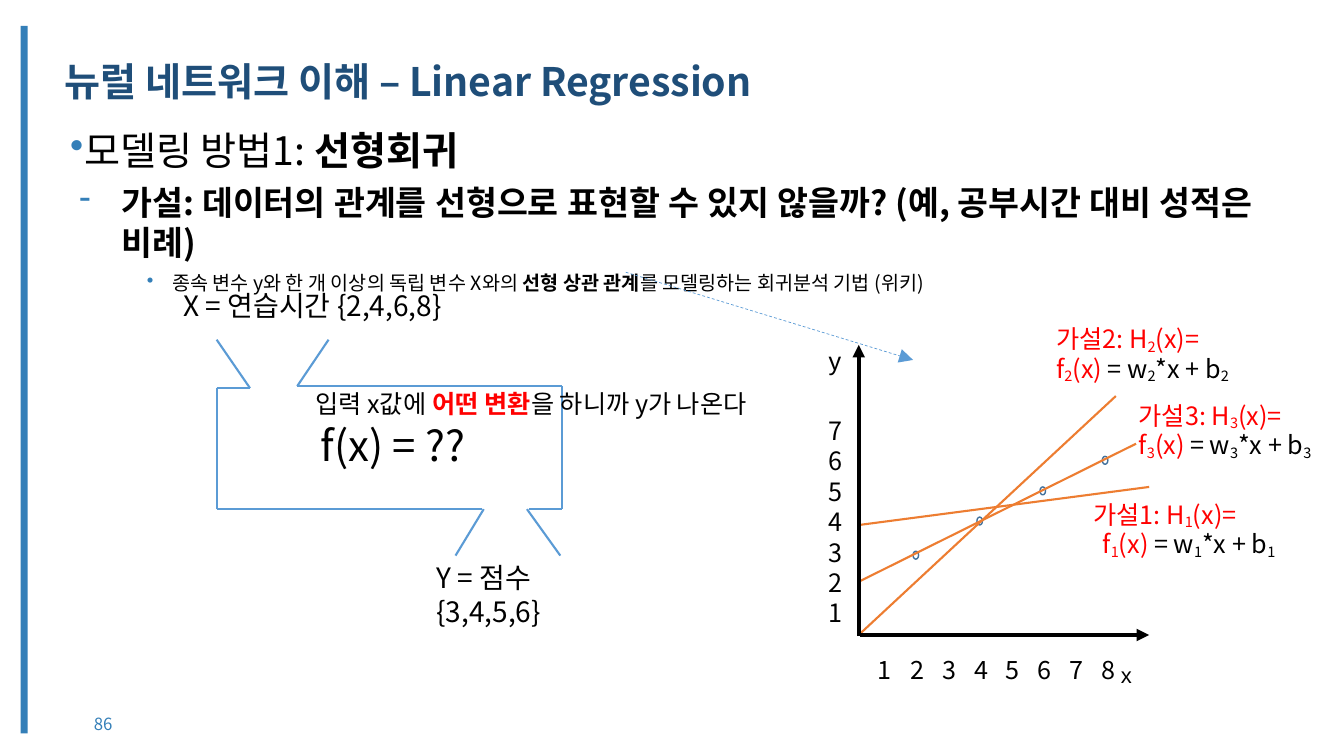
from dataclasses import dataclass
from typing import Optional

import pptx
import pptx.dml.color
import pptx.enum.dml
import pptx.enum.shapes
import pptx.enum.text
import pptx.oxml.ns
import pptx.util
from lxml import etree
from pptx.util import Cm, Pt

RGBColor = pptx.dml.color.RGBColor
BLACK = RGBColor(0x00, 0x00, 0x00)
RED = RGBColor(0xFF, 0x00, 0x00)
NAVY = RGBColor(0x1F, 0x4E, 0x79)
ACCENT = RGBColor(0x34, 0x7F, 0xB8)
SKY = RGBColor(0x5B, 0x9B, 0xD5)
MARKER = RGBColor(0x41, 0x71, 0x9C)
ORANGE = RGBColor(0xED, 0x7D, 0x31)
NOTO, ROBOTO, ARIAL = "Noto Sans CJK KR", "Roboto", "Arial"


@dataclass
class Segment:
    x1: float
    y1: float
    x2: float
    y2: float


@dataclass
class Hypothesis:
    number: int
    left: float
    top: float
    second_indent: float
    line: Segment


FUNNEL = [
    Segment(7.49, 9.73, 14.17, 9.73), Segment(5.46, 12.83, 12.14, 12.83),
    Segment(7.49, 9.73, 8.28, 8.56), Segment(6.3, 9.78, 5.46, 8.56),
    Segment(14.12, 14, 13.28, 12.83), Segment(11.48, 14, 12.19, 12.83),
    Segment(14.17, 12.83, 14.17, 9.73), Segment(5.46, 12.83, 5.46, 9.78),
    Segment(5.46, 9.78, 6.3, 9.78), Segment(13.34, 12.83, 14.17, 12.83),
]
HYPOTHESES = [
    Hypothesis(2, 26.62, 8.18, 0, Segment(21.64, 16, 28.12, 9.98)),
    Hypothesis(3, 28.7, 10.1, 0, Segment(21.64, 14.66, 28.63, 11.18)),
    Hypothesis(1, 27.56, 12.6, 0.23, Segment(21.64, 13.23, 28.96, 12.27)),
]
AXES = [Segment(21.64, 16.03, 21.64, 8.69), Segment(21.67, 16, 28.96, 16)]
DATA_POINTS = [(23.08, 13.99), (24.69, 13.13), (26.28, 12.37), (27.85, 11.6)]
CLAIM = [
    ("가설", ROBOTO), (": ", NOTO),
    ("데이터의 관계를 선형으로 표현할 수 있지 않을까", ROBOTO), ("? (", NOTO),
    ("예", ROBOTO), (", ", NOTO), ("공부시간 대비 성적은 비례", ROBOTO), (")", NOTO),
]


def add_element(parent, tag: str, **attributes: str):
    element = etree.SubElement(parent, pptx.oxml.ns.qn(tag))
    for name, value in attributes.items():
        element.set(name, value)
    return element


def write(para, text: str, *, size: float, font: str = NOTO, bold: bool = False,
          color: RGBColor = BLACK, base: int = 0) -> None:
    """Append a span; base is the baseline shift in percent."""
    span = para.add_run()
    span.text = text
    span.font.size = Pt(size)
    span.font.name = font
    span.font.bold = bold
    span.font.color.rgb = color
    properties = span._r.get_or_add_rPr()
    add_element(properties, "a:ea", typeface=font)
    if base:
        properties.set("baseline", str(base * 1000))


def indent(para, left: float, first: float = 0) -> None:
    properties = para._p.get_or_add_pPr()
    properties.set("marL", str(Cm(left)))
    properties.set("indent", str(Cm(first)))


def add_bullet(para, mark: str) -> None:
    properties = para._p.get_or_add_pPr()
    color = add_element(properties, "a:buClr")
    add_element(color, "a:srgbClr", val=str(ACCENT))
    add_element(properties, "a:buChar", char=mark)
    add_tabs(para, [1.3])


def add_tabs(para, stops: list[float]) -> None:
    tabs = add_element(para._p.get_or_add_pPr(), "a:tabLst")
    for stop in stops:
        add_element(tabs, "a:tab", pos=str(Cm(stop)), algn="l")


def set_margins(frame, side: float, end: float) -> None:
    frame.margin_left = frame.margin_right = Cm(side)
    frame.margin_top = frame.margin_bottom = Cm(end)


def add_box(slide, left: float, top: float, width: float, height: float,
            side: float = 0, end: float = 0.03):
    frame = slide.shapes.add_textbox(Cm(left), Cm(top), Cm(width), Cm(height)).text_frame
    frame.word_wrap = True
    set_margins(frame, side, end)
    return frame


def draw_line(slide, segment: Segment, color: RGBColor, width: float = 1.5,
              arrow: Optional[str] = None, dashed: bool = False) -> None:
    """Draw a segment; arrow is the size of the head at its end."""
    line = slide.shapes.add_connector(
        pptx.enum.shapes.MSO_CONNECTOR.STRAIGHT,
        Cm(segment.x1), Cm(segment.y1), Cm(segment.x2), Cm(segment.y2))
    line.line.color.rgb = color
    line.line.width = Pt(width)
    if dashed:
        line.line.dash_style = pptx.enum.dml.MSO_LINE.DASH
    if arrow:
        add_element(line.line._get_or_add_ln(), "a:tailEnd", type="triangle", w=arrow, len=arrow)
    add_element(line._element.spPr, "a:effectLst")


def draw_frame(slide) -> None:
    bar = slide.shapes.add_shape(pptx.enum.shapes.MSO_SHAPE.RECTANGLE,
                                 Cm(0.52), Cm(0.65), Cm(0.18), Cm(17.83))
    bar.shadow.inherit = False
    bar.fill.solid()
    bar.fill.fore_color.rgb = ACCENT
    bar.line.fill.background()

    title = slide.shapes.title
    title.left, title.top, title.width, title.height = Cm(1.52), Cm(1.47), Cm(31.12), Cm(2.24)
    frame = title.text_frame
    frame.vertical_anchor = pptx.enum.text.MSO_ANCHOR.TOP
    frame.auto_size = pptx.enum.text.MSO_AUTO_SIZE.NONE
    set_margins(frame, 0.1, 0.1)
    para = frame.paragraphs[0]
    para.alignment = pptx.enum.text.PP_ALIGN.LEFT
    para.line_spacing = 0.9
    write(para, "뉴럴 네트워크 이해 – Linear Regression", size=28, bold=True, color=NAVY)

    number = add_box(slide, 1.52, 18.01, 2.16, 0.46, 0.25, 0.13)
    number.vertical_anchor = pptx.enum.text.MSO_ANCHOR.MIDDLE
    number.paragraphs[0].alignment = pptx.enum.text.PP_ALIGN.CENTER
    write(number.paragraphs[0], "86", size=12, color=ACCENT)


def draw_body(slide) -> None:
    frame = add_box(slide, 1.52, 3.05, 30.9, 14.96, 0.25, 0.13)
    method, claim, detail = frame.paragraphs[0], frame.add_paragraph(), frame.add_paragraph()
    claim.level, detail.level = 1, 2
    claim.space_before = detail.space_before = Pt(6)
    for para, left, first, mark in ((method, 0.03, -0.64, "•"), (claim, 1.3, -1.07, "-"),
                                    (detail, 2.57, -0.64, "•")):
        indent(para, left, first)
        add_bullet(para, mark)
    write(method, "모델링 방법1: ", size=28)
    write(method, "선형회귀", size=28, font=ROBOTO, bold=True)
    for text, font in CLAIM:
        write(claim, text, size=24, font=font, bold=True)
    write(detail, "종속 변수 y와 한 개 이상의 독립 변수 X와의 ", size=14)
    write(detail, "선형 상관 관계", size=14, bold=True)
    write(detail, "를 모델링하는 회귀분석 기법 (위키)", size=14)


def draw_funnel(slide) -> None:
    for segment in FUNNEL:
        draw_line(slide, segment, SKY)
    write(add_box(slide, 8.08, 10.54, 3.99, 1.35).paragraphs[0], "f(x) = ??", size=30)
    output = add_box(slide, 11, 14.1, 5.56, 2).paragraphs[0]
    write(output, "Y = 점수 ", size=20)
    output.add_line_break()
    write(output, "{3,4,5,6}", size=20)

    frame = add_box(slide, 4.62, 7.24, 17.6, 3.35)
    write(frame.paragraphs[0], "X = 연습시간 {2,4,6,8}", size=20)
    question = frame.add_paragraph()
    question.space_before = Pt(47)
    indent(question, 3.33)
    write(question, "입력 x값에 ", size=18)
    write(question, "어떤 변환", size=18, font=ROBOTO, bold=True, color=RED)
    write(question, "을 하니까 y가 나온다", size=18)


def draw_hypothesis(slide, item: Hypothesis) -> None:
    draw_line(slide, item.line, ORANGE)
    frame = add_box(slide, item.left, item.top, 5, 1.5)
    name, formula = frame.paragraphs[0], frame.add_paragraph()
    indent(formula, item.second_indent)
    for para in (name, formula):
        para.line_spacing = Pt(21.1)
    for para, text, color, has_index in (
            (name, "가설" + f"{item.number}: H", RED, True), (name, "(x)=", RED, False),
            (formula, "f", RED, True), (formula, "(x) ", RED, False),
            (formula, "= w", BLACK, True), (formula, "*x + b", BLACK, True)):
        write(para, text, size=18, color=color)
        if has_index:
            write(para, str(item.number), size=18, color=color, base=-14)


def draw_graph(slide) -> None:
    write(add_box(slide, 20.88, 8.66, 0.6, 0.84).paragraphs[0], "y", size=18, font=ARIAL)
    scale = add_box(slide, 20.88, 10.43, 0.6, 5.41)
    for value in range(7, 0, -1):
        para = scale.paragraphs[0] if value == 7 else scale.add_paragraph()
        para.line_spacing = Pt(21.7)
        write(para, str(value), size=18)
    hours = add_box(slide, 22.12, 16.15, 6.6, 0.84).paragraphs[0]
    add_tabs(hours, [0.03 + 0.8 * step for step in range(1, 8)])
    write(hours, "\t".join(str(value) for value in range(1, 9)) + " ", size=18)
    write(hours, "x", size=27, font=ARIAL, base=-9)

    for x, y in DATA_POINTS:
        point = slide.shapes.add_shape(pptx.enum.shapes.MSO_SHAPE.OVAL,
                                       Cm(x - 0.07), Cm(y - 0.1), Cm(0.14), Cm(0.2))
        point.shadow.inherit = False
        point.fill.background()
        point.line.color.rgb = MARKER
        point.line.width = Pt(1)
    draw_line(slide, Segment(15.77, 6.86, 23.01, 9.07), SKY, 0.5, "lg", dashed=True)
    for item in HYPOTHESES:
        draw_hypothesis(slide, item)
    for axis in AXES:
        draw_line(slide, axis, BLACK, 3, "med")


def main() -> None:
    deck = pptx.Presentation()
    deck.slide_width, deck.slide_height = Cm(33.87), Cm(19.05)
    slide = deck.slides.add_slide(deck.slide_layouts[5])
    draw_frame(slide)
    draw_body(slide)
    draw_funnel(slide)
    draw_graph(slide)
    deck.save("out.pptx")


if __name__ == "__main__":
    main()
